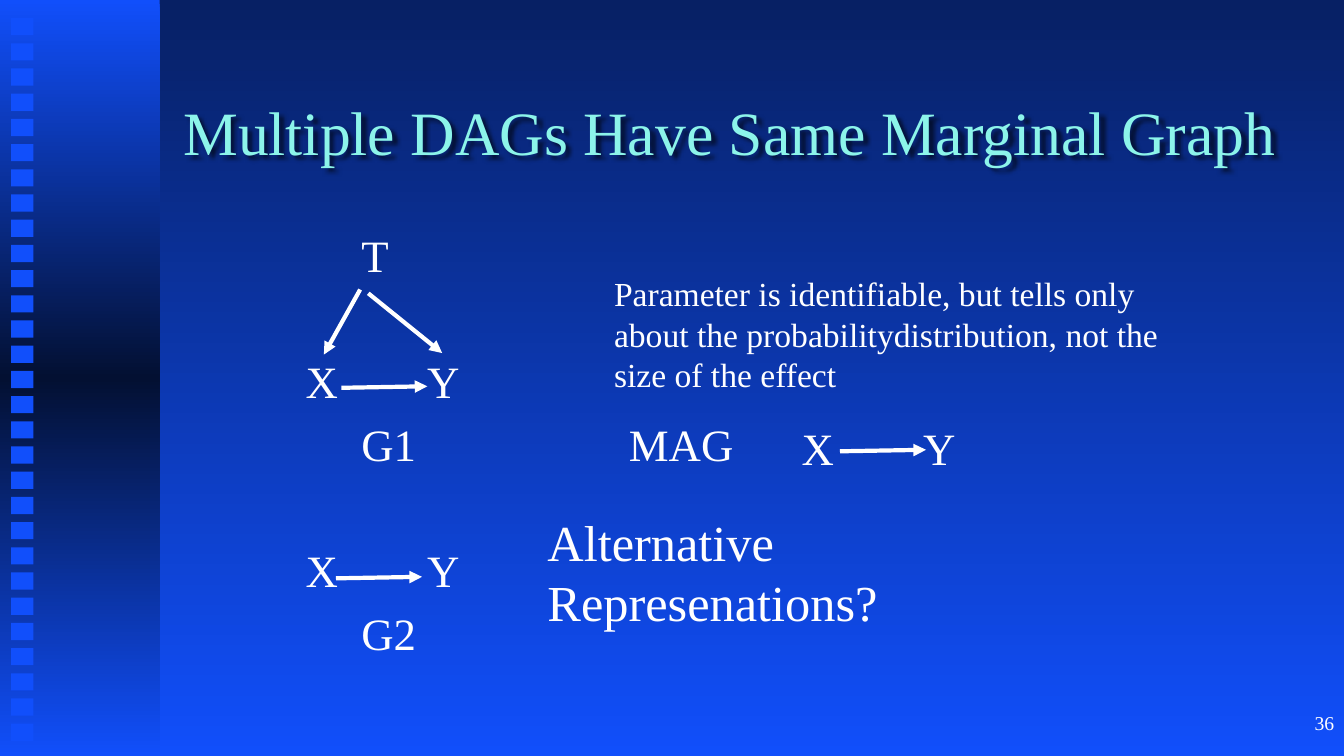
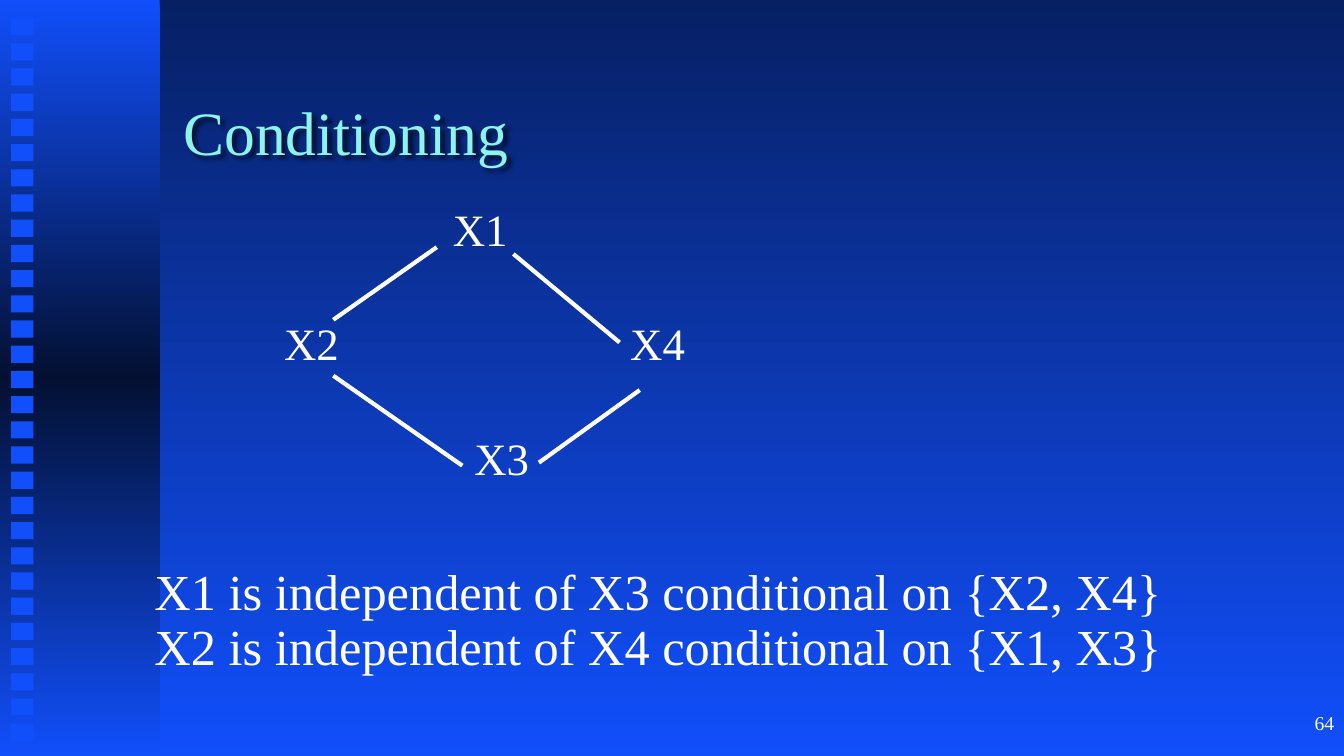
from copy import deepcopy

from lxml.etree import SubElement
from pptx import Presentation
from pptx.dml.color import RGBColor
from pptx.enum.shapes import MSO_CONNECTOR as Connector, MSO_SHAPE as Shape
from pptx.enum.text import MSO_ANCHOR as Anchor, PP_ALIGN as Align
from pptx.oxml import parse_xml
from pptx.oxml.ns import nsdecls, qn
from pptx.util import Inches, Pt

FONT = "Times New Roman"
WHITE, AQUA, BLUE, NAVY, NIGHT = "FFFFFF", "8CF4EA", "114FFB", "072064", "031032"
SHADOW = (
    f'<a:effectLst {nsdecls("a")}><a:outerShdw blurRad="38100" dist="38100" dir="2700000">'
    '<a:srgbClr val="000000"><a:alpha val="60000"/></a:srgbClr></a:outerShdw></a:effectLst>'
)
rgb = RGBColor.from_string

prs = Presentation()
prs.slide_width, prs.slide_height = Inches(13.33), Inches(7.5)
col, row = prs.slide_width / 100, prs.slide_height / 100


def write(slide, text, left, top, width, height, size, color=WHITE, align=Align.LEFT, spacing=None):
    box = slide.shapes.add_textbox(
        int(left * col), int(top * row), int(width * col), int(height * row)
    )
    box.text_frame.word_wrap = True
    box.text_frame.text = text
    for paragraph in box.text_frame.paragraphs:
        paragraph.alignment = align
        paragraph.line_spacing = spacing
        for run in paragraph.runs:
            run.font.name, run.font.size = FONT, Pt(size)
            run.font.color.rgb = rgb(color)
    return box


def link(slide, start, end, arrow):
    edge = slide.shapes.add_connector(
        Connector.STRAIGHT,
        int(start[0] * col), int(start[1] * row), int(end[0] * col), int(end[1] * row),
    )
    edge.line.width = Pt(3)
    edge.line.color.rgb = rgb(WHITE)
    properties = edge._element.spPr
    if arrow:
        SubElement(properties.find(qn("a:ln")), qn("a:tailEnd"), type="triangle")
    SubElement(properties, qn("a:effectLst"))


backdrop = prs.slide_master.background.fill
backdrop.gradient()
backdrop.gradient_angle = 270
for stop, color in zip(backdrop.gradient_stops, (NAVY, BLUE)):
    stop.color.rgb = rgb(color)

pages = []
for heading, number in (("Multiple DAGs Have Same Marginal Graph", "36"), ("Conditioning", "64")):
    page = prs.slides.add_slide(prs.slide_layouts[6])
    pages.append(page)

    band = page.shapes.add_shape(Shape.RECTANGLE, 0, 0, int(11.88 * col), prs.slide_height)
    band.fill.gradient()
    band.fill.gradient_angle = 270
    stop_list = band._element.spPr.find(qn("a:gradFill")).find(qn("a:gsLst"))
    stop_list.insert(1, deepcopy(stop_list[0]))
    for stop, share, color in zip(band.fill.gradient_stops, (0, 0.5, 1), (BLUE, NIGHT, BLUE)):
        stop.position = share
        stop.color.rgb = rgb(color)
    band.line.fill.background()
    band.shadow.inherit = False

    for step in range(29):
        square = page.shapes.add_shape(
            Shape.RECTANGLE,
            int(0.83 * col), int((2.4 + step * 100 / 30) * row), int(1.65 * col), int(2.27 * row),
        )
        square.fill.solid()
        square.fill.fore_color.rgb = rgb(BLUE)
        square.line.fill.background()
        square.shadow.inherit = False

    title = write(page, heading, 12.9, 8.93, 84.4, 16.67, 44, AQUA)
    title.text_frame.vertical_anchor = Anchor.MIDDLE
    title._element.spPr.append(parse_xml(SHADOW))
    write(page, number, 79.2, 93.33, 20.8, 6.67, 14, align=Align.RIGHT)

marginal, conditioning = pages

x_left, y_left, middle = 22, 31.05, 26.15
graph_top, graph_pitch = 29.47, 100 / 12
for label, left, line in (
    ("T", middle, 0),
    ("X", x_left, 2), ("Y", y_left, 2),
    ("G1", middle, 3), ("MAG", 46.05, 3),
    ("X", x_left, 5), ("Y", y_left, 5),
    ("G2", middle, 6),
    ("X", 58.9, 3.07), ("Y", 67.95, 3.07),
):
    write(marginal, label, left, graph_top + line * graph_pitch, 12, 8.5, 32)
for start, end in (
    ((26.8, 38.3), (24.1, 46.9)),
    ((27.4, 38.8), (32.9, 46.7)),
    ((25.4, 51.3), (31.8, 51.1)),
    ((25, 76.5), (31.4, 76.3)),
    ((62.5, 59.7), (68.9, 59.5)),
):
    link(marginal, start, end, arrow=True)
write(marginal, "Alternative Represenations?", 40, 66.93, 38, 17.5, 36)
write(
    marginal,
    "Parameter is identifiable, but tells only about the probabilitydistribution, "
    "not the size of the effect",
    44.95, 35.47, 44, 17.5, 24,
)

cycle_top, cycle_pitch = 26, 15.15
for label, left, line in (("X1", 32.95, 0), ("X2", 20.4, 1), ("X4", 46.15, 1), ("X3", 34.55, 2)):
    write(conditioning, label, left, cycle_top + line * cycle_pitch, 8, 8.5, 32)
for start, end in (
    ((24.8, 42.3), (32.5, 32.7)),
    ((24.8, 49.7), (34.4, 61.6)),
    ((46.1, 45.3), (38.2, 33.6)),
    ((40.1, 61.2), (47.6, 51.6)),
):
    link(conditioning, start, end, arrow=False)
write(
    conditioning,
    "X1 is independent of X3 conditional on {X2, X4}\n"
    "X2 is independent of X4 conditional on {X1, X3}",
    10.75, 74.4, 79.4, 19.87, 36, spacing=0.9,
)

prs.save("out.pptx")
